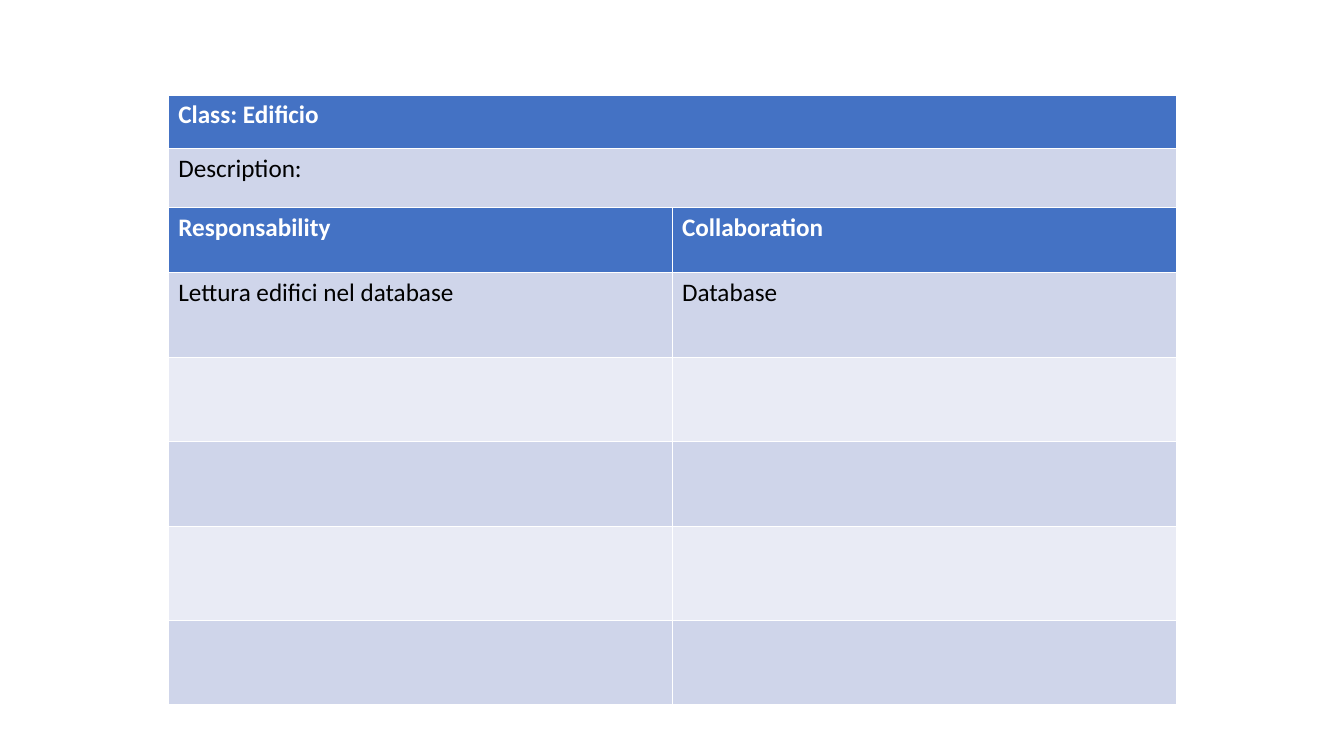
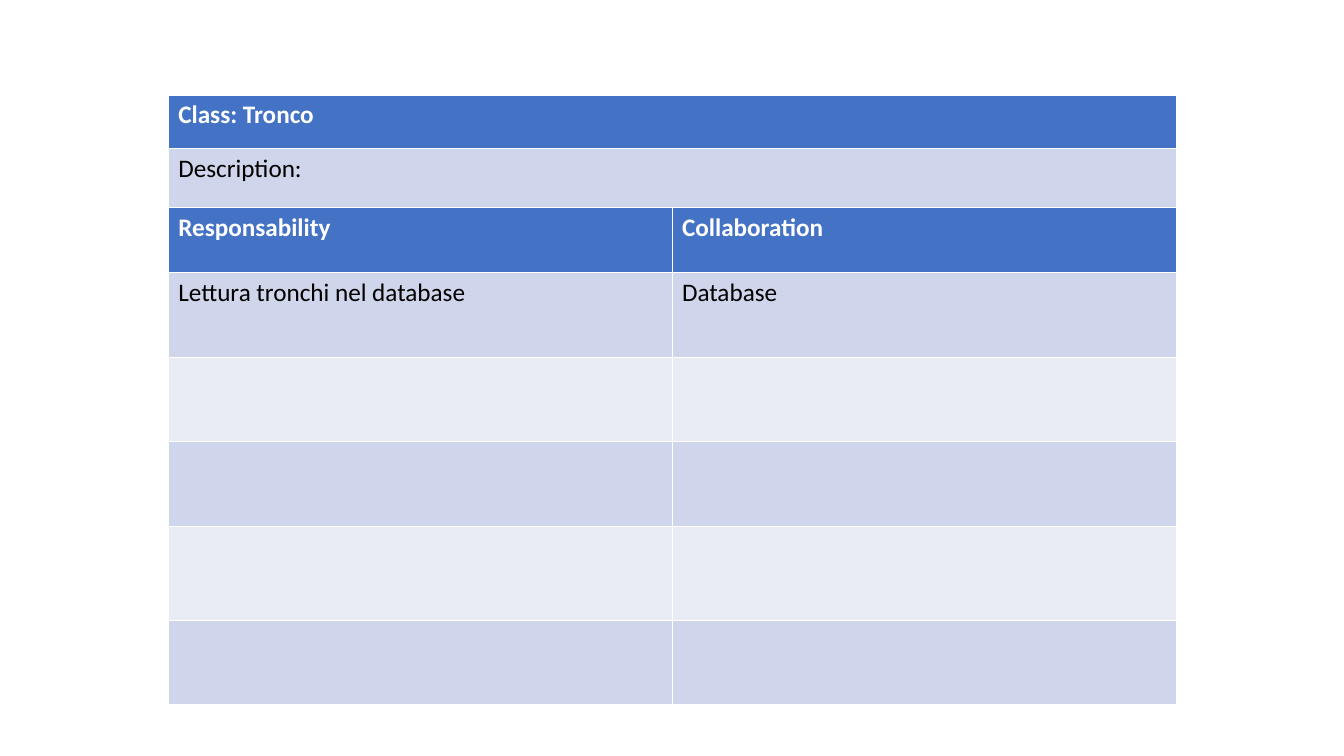
from lxml.etree import SubElement
from pptx import Presentation
from pptx.dml.color import RGBColor
from pptx.oxml.ns import qn
from pptx.util import Inches, Pt

BLUE = RGBColor(0x44, 0x72, 0xC4)
MID = RGBColor(0xCF, 0xD5, 0xEA)
PALE = RGBColor(0xE9, 0xEB, 0xF5)
WHITE = RGBColor(0xFF, 0xFF, 0xFF)
BLACK = RGBColor(0, 0, 0)
FONT = "Calibri"
THIN, THICK = 0.23, 0.75

LEFT, TOP, WIDTH = 1.67, 0.94, 10
HEAD_ROWS = [0.53, 0.59]
BODY_ROWS = [0.64, 0.84, 0.84, 0.84, 0.93, 0.84]
CARDS = [
    ("Edificio", "Lettura edifici nel database", "Database"),
    ("Tronco", "Lettura tronchi nel database", "Database"),
]


def write(cell, text, size=18, color=BLACK, bold=False):
    para = cell.text_frame.paragraphs[0]
    para.line_spacing = 0.98
    run = para.add_run()
    run.text = text
    font = run.font
    font.name, font.size, font.bold = FONT, Pt(size), bold
    font.color.rgb = color


def border(cell, top, bottom):
    props = cell._tc.get_or_add_tcPr()
    sides = {"a:lnL": THIN, "a:lnR": THIN, "a:lnT": top, "a:lnB": bottom}
    for tag, width in sides.items():
        line = SubElement(props, qn(tag), w=str(int(Pt(width))))
        fill = SubElement(line, qn("a:solidFill"))
        SubElement(fill, qn("a:srgbClr"), val=str(WHITE))


def add_grid(slide, left, top, width, rows, texts):
    cols = len(texts[0])
    frame = slide.shapes.add_table(
        len(rows), cols, Inches(left), Inches(top), Inches(width), Inches(sum(rows)))
    table = frame.table
    for col in table.columns:
        col.width = Inches(width / cols)
    for r, height in enumerate(rows):
        table.rows[r].height = Inches(height)
        head = r == 0
        for c in range(cols):
            cell = table.cell(r, c)
            border(cell, THICK if r == 1 else THIN, THICK if head else THIN)
            cell.fill.solid()
            cell.fill.fore_color.rgb = BLUE if head else MID if r % 2 else PALE
            if r < len(texts):
                write(cell, texts[r][c], color=WHITE if head else BLACK, bold=head)


def add_card(deck, left, top, width, name, duty, partner):
    slide = deck.slides.add_slide(deck.slide_layouts[6])
    add_grid(slide, left, top + sum(HEAD_ROWS), width, BODY_ROWS,
             [["Responsability", "Collaboration"], [duty, partner]])
    add_grid(slide, left, top, width, HEAD_ROWS,
             [[f"Class: {name}"], ["Description:"]])


def main():
    deck = Presentation()
    deck.slide_width, deck.slide_height = Inches(13.34), Inches(7.5)
    for card in CARDS:
        add_card(deck, LEFT, TOP, WIDTH, *card)
    deck.save("out.pptx")


if __name__ == "__main__":
    main()
